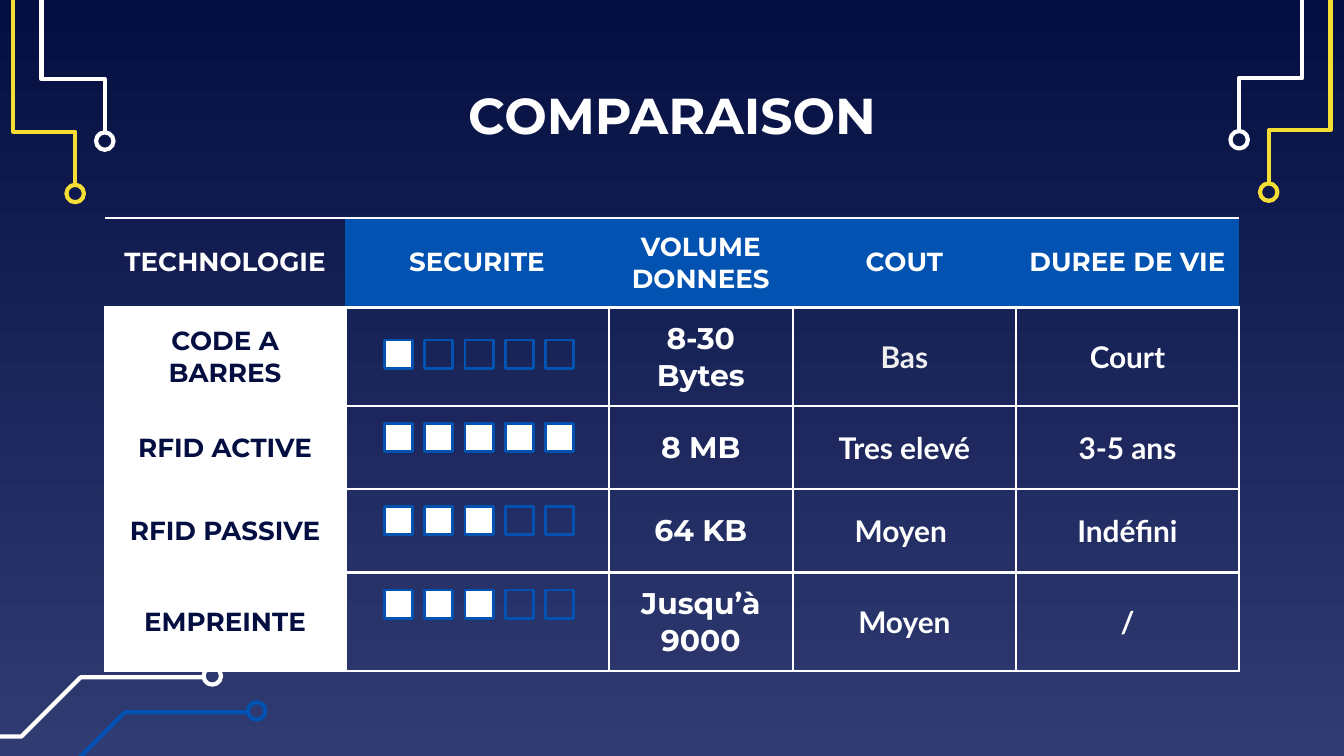
from dataclasses import dataclass

from lxml.etree import SubElement
from pptx import Presentation
from pptx.dml.color import RGBColor as Color
from pptx.enum.shapes import MSO_SHAPE as Preset
from pptx.enum.text import MSO_ANCHOR as Anchor, PP_ALIGN as Align
from pptx.oxml.ns import qn
from pptx.util import Inches, Pt


@dataclass(frozen=True)
class Theme:
    """Colours, fonts and type sizes of the slide."""
    navy: str = "040E41"
    indigo: str = "303B72"
    blue: str = "0152B1"
    yellow: str = "F5DE34"
    white: str = "FFFFFF"
    pale: str = "EFEFEF"
    heading_font: str = "Montserrat"
    body_font: str = "Lato"
    title_size: int = 27
    label_size: int = 14
    value_size: int = 16
    trace_width: float = 2.25
    border_width: float = 1.5


THEME = Theme()
INSET = Inches(0.1)
RING = 0.13
BOX = 0.21
BOX_PITCH = 0.3
RATING_PITCH = 0.62
RATING_MAX = 5

COLUMN_WIDTHS = (1.79, 1.96, 1.37, 1.66, 1.66)
ROW_HEIGHT = 0.62
HEADERS = ("TECHNOLOGIE", "SECURITE", "VOLUME DONNEES", "COUT", "DUREE DE VIE")
TECHNOLOGIES = (
    ("CODE A BARRES", 1, "8-30 Bytes", "Bas", "Court"),
    ("RFID ACTIVE", 5, "8 MB", "Tres elevé", "3-5 ans"),
    ("RFID PASSIVE", 3, "64 KB", "Moyen ", "Indéfini"),
    ("EMPREINTE", 3, "Jusqu’à 9000", "Moyen", "/"),
)


def paint_background(slide):
    """Fill the background with a gradient from top to bottom."""
    fill = slide.background.fill
    fill.gradient()
    fill.gradient_angle = 270
    for stop, color in zip(fill.gradient_stops, (THEME.navy, THEME.indigo)):
        stop.color.rgb = Color.from_string(color)


def style_shape(shape, line_color, width, fill_color=None):
    """Set outline and fill, and remove the shadow."""
    shape.shadow.inherit = False
    shape.line.color.rgb = Color.from_string(line_color)
    shape.line.width = Pt(width)
    if fill_color:
        shape.fill.solid()
        shape.fill.fore_color.rgb = Color.from_string(fill_color)
    else:
        shape.fill.background()


def add_trace(slide, points, ring_center, color):
    """Draw a circuit trace that ends in a ring."""
    start, *rest = [(Inches(x), Inches(y)) for x, y in points]
    builder = slide.shapes.build_freeform(*start)
    builder.add_line_segments(rest, close=False)
    style_shape(builder.convert_to_shape(), color, THEME.trace_width)
    left, top = (Inches(center - RING / 2) for center in ring_center)
    ring = slide.shapes.add_shape(Preset.OVAL, left, top, Inches(RING), Inches(RING))
    style_shape(ring, color, THEME.trace_width)


def add_bottom_trace(slide, left, top, color):
    """Draw a trace that rises from the bottom left."""
    low = top + 0.44
    points = ((left, low), (left + 0.73, low), (left + 1.17, top), (left + 2.1, top))
    add_trace(slide, points, (left + 2.15, top - 0.01), color)


def add_top_traces(slide, outer, inner, end, color):
    """Draw a trace at the top left and its mirror image at the top right."""
    bend = end - 0.41
    points = ((inner, end), (inner, bend), (outer, bend), (outer, end - 1.52))
    center = (inner, end + 0.05)
    add_trace(slide, points, center, color)
    mirrored = [(10 - x, y - 0.01) for x, y in (*points, center)]
    add_trace(slide, mirrored[:-1], mirrored[-1], color)


def write_text(frame, text, size, color, font=THEME.heading_font):
    """Write one centred bold run."""
    paragraph = frame.paragraphs[0]
    paragraph.alignment = Align.CENTER
    run = paragraph.add_run()
    run.text = text
    run.font.name = font
    run.font.size = Pt(size)
    run.font.bold = True
    run.font.color.rgb = Color.from_string(color)


def add_title(slide, text):
    """Add the slide title."""
    box = slide.shapes.add_textbox(Inches(0.78), Inches(0.59), Inches(8.44), Inches(0.52))
    frame = box.text_frame
    frame.word_wrap = True
    frame.vertical_anchor = Anchor.MIDDLE
    frame.margin_left = frame.margin_right = INSET
    frame.margin_top = frame.margin_bottom = INSET
    write_text(frame, text, THEME.title_size, THEME.white)


def style_cell(cell, visible_sides, fill_color=None):
    """Set the borders, fill, insets and anchor of a cell."""
    properties = cell._tc.get_or_add_tcPr()
    for side in "LRTB":
        line = SubElement(properties, qn(f"a:ln{side}"), w=str(Pt(THEME.border_width)))
        if side in visible_sides:
            solid = SubElement(line, qn("a:solidFill"))
            SubElement(solid, qn("a:srgbClr"), val=THEME.white)
        else:
            SubElement(line, qn("a:noFill"))
    if fill_color:
        cell.fill.solid()
        cell.fill.fore_color.rgb = Color.from_string(fill_color)
    else:
        cell.fill.background()
    cell.margin_left = cell.margin_right = INSET
    cell.margin_top = cell.margin_bottom = INSET
    cell.vertical_anchor = Anchor.MIDDLE


def fill_header(table):
    """Write the header row."""
    for column, text in enumerate(HEADERS):
        cell = table.cell(0, column)
        style_cell(cell, "TB", THEME.blue if column else None)
        write_text(cell.text_frame, text, THEME.label_size, THEME.white)


def fill_row(table, row, technology):
    """Write one technology, leaving its security cell free for the rating."""
    name, _, volume, cost, lifetime = technology
    cells = [table.cell(row, column) for column in range(len(HEADERS))]
    for column, cell in enumerate(cells):
        style_cell(cell, "LRTB", None if column else THEME.white)
    cost_color = THEME.pale if cost == "Bas" else THEME.white
    write_text(cells[0].text_frame, name, THEME.label_size, THEME.navy)
    write_text(cells[2].text_frame, volume, THEME.value_size, THEME.white)
    write_text(cells[3].text_frame, cost, THEME.value_size, cost_color, THEME.body_font)
    write_text(cells[4].text_frame, lifetime, THEME.value_size, THEME.white, THEME.body_font)


def add_comparison(slide):
    """Add the comparison table."""
    row_count = len(TECHNOLOGIES) + 1
    frame = slide.shapes.add_table(
        row_count, len(COLUMN_WIDTHS), Inches(0.78), Inches(1.62),
        Inches(sum(COLUMN_WIDTHS)), Inches(row_count * ROW_HEIGHT))
    table = frame.table
    table.first_row = table.horz_banding = False
    for column, width in zip(table.columns, COLUMN_WIDTHS):
        column.width = Inches(width)
    fill_header(table)
    for row, technology in enumerate(TECHNOLOGIES, start=1):
        fill_row(table, row, technology)


def add_rating(slide, top, score):
    """Draw a row of boxes with as many filled as the score."""
    for index in range(RATING_MAX):
        left = Inches(2.86 + index * BOX_PITCH)
        box = slide.shapes.add_shape(Preset.RECTANGLE, left, Inches(top), Inches(BOX), Inches(BOX))
        style_shape(box, THEME.blue, THEME.border_width, THEME.white if index < score else None)


def main():
    """Build and save the slide."""
    presentation = Presentation()
    presentation.slide_width = Inches(10)
    presentation.slide_height = Inches(10 * 9 / 16)
    slide = presentation.slides.add_slide(presentation.slide_layouts[6])
    paint_background(slide)
    add_bottom_trace(slide, -0.24, 5.3, THEME.blue)
    add_bottom_trace(slide, -0.57, 5.04, THEME.white)
    add_top_traces(slide, 0.31, 0.78, 1, THEME.white)
    add_top_traces(slide, 0.1, 0.56, 1.39, THEME.yellow)
    add_title(slide, "COMPARAISON")
    add_comparison(slide)
    for index, technology in enumerate(TECHNOLOGIES):
        add_rating(slide, 2.53 + index * RATING_PITCH, technology[1])
    presentation.save("out.pptx")


if __name__ == "__main__":
    main()
